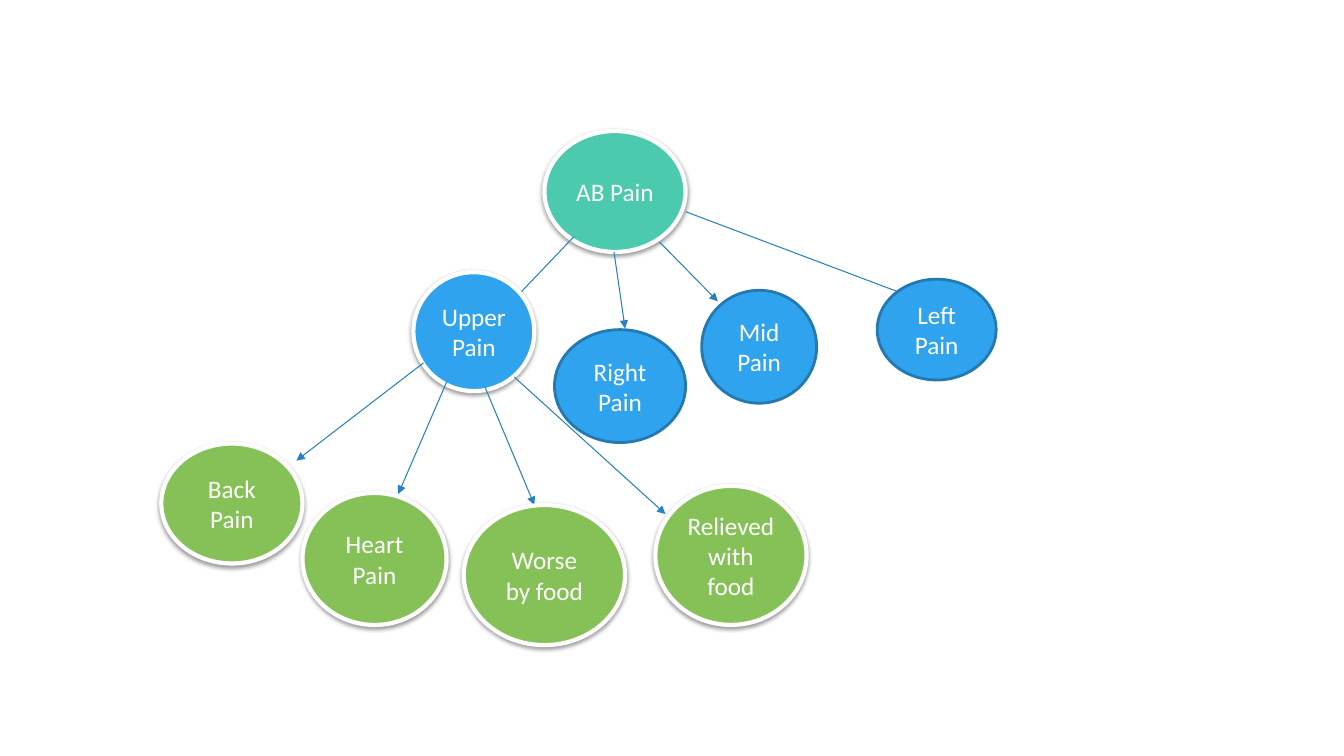
from dataclasses import dataclass

import pptx
import pptx.dml.color
import pptx.enum.shapes
import pptx.enum.text
import pptx.oxml
import pptx.oxml.ns
import pptx.util
from pptx.util import Inches


@dataclass(frozen=True)
class Theme:
    font: str = "Calibri"
    text_size: float = 18
    text: str = "FFFFFF"
    root: str = "4BCAAD"
    location: str = "2FA3EE"
    symptom: str = "86C157"
    raised_border: str = "FFFFFF"
    flat_border: str = "2379B0"
    arrow: str = "2582BE"
    raised_width: float = 3
    flat_width: float = 2
    arrow_width: float = 0.75


THEME = Theme()

ROOT = ("AB Pain", 5.4, 1.3, 1.4, 1.2)
UPPER = ("Upper Pain", 4.1, 2.7, 1.2, 1.18)
OTHER_LOCATIONS = [
    ("Right Pain", 5.5, 3.27, 1.3, 1.12),
    ("Mid\nPain", 6.96, 2.88, 1.14, 1.12),
    ("Left Pain", 8.7, 2.77, 1.18, 1),
]
SYMPTOMS = [
    ("Back Pain", 1.6, 4.4, 1.4, 1.19),
    ("Heart\nPain", 3, 4.89, 1.43, 1.31),
    ("Worse by food", 4.6, 5.01, 1.6, 1.39),
    ("Relieved with food", 6.5, 4.82, 1.5, 1.38),
]
ROOT_ARROWS = [
    (6.54, 2.4, 7.12, 2.99),
    (5.69, 2.35, 5.08, 2.99),
    (6.09, 2.5, 6.2, 3.26),
    (6.8, 2.1, 9, 2.93),
]
UPPER_ARROWS = [
    (4.2, 3.6, 2.94, 4.57),
    (4.43, 3.79, 3.95, 4.9),
    (4.81, 3.84, 5.3, 5.01),
    (5.1, 3.74, 6.6, 5.1),
]


def rgb(value):
    return pptx.dml.color.RGBColor.from_string(value)


def write_text(frame, text, *, size, color, font):
    frame.word_wrap = True
    frame.vertical_anchor = pptx.enum.text.MSO_ANCHOR.MIDDLE
    frame.text = text
    for paragraph in frame.paragraphs:
        paragraph.alignment = pptx.enum.text.PP_ALIGN.CENTER
        for run in paragraph.runs:
            run.font.size = pptx.util.Pt(size)
            run.font.name = font
            run.font.color.rgb = rgb(color)


def add_soft_shadow(bubble):
    effects = bubble._element.spPr.find(pptx.oxml.ns.qn("a:effectLst"))
    effects.append(pptx.oxml.parse_xml(
        f'<a:outerShdw {pptx.oxml.ns.nsdecls("a")} blurRad="{pptx.util.Pt(3.1)}" '
        f'dist="{pptx.util.Pt(1.6)}" dir="5400000" rotWithShape="0">'
        '<a:srgbClr val="000000"><a:alpha val="38000"/></a:srgbClr></a:outerShdw>'
    ))


def add_bubble(slide, node, fill, raised=True):
    label, *box = node
    bubble = slide.shapes.add_shape(
        pptx.enum.shapes.MSO_SHAPE.OVAL, *map(Inches, box))
    bubble.fill.solid()
    bubble.fill.fore_color.rgb = rgb(fill)
    bubble.line.color.rgb = rgb(THEME.raised_border if raised else THEME.flat_border)
    bubble.line.width = pptx.util.Pt(THEME.raised_width if raised else THEME.flat_width)
    bubble.shadow.inherit = False
    if raised:
        add_soft_shadow(bubble)
    write_text(bubble.text_frame, label, size=THEME.text_size,
               color=THEME.text, font=THEME.font)


def add_arrow(slide, ends):
    arrow = slide.shapes.add_connector(
        pptx.enum.shapes.MSO_CONNECTOR.STRAIGHT, *map(Inches, ends))
    arrow.line.color.rgb = rgb(THEME.arrow)
    arrow.line.width = pptx.util.Pt(THEME.arrow_width)
    namespace = pptx.oxml.ns.nsdecls("a")
    properties = arrow._element.spPr
    properties.find(pptx.oxml.ns.qn("a:ln")).append(
        pptx.oxml.parse_xml(f'<a:tailEnd {namespace} type="triangle"/>'))
    properties.append(pptx.oxml.parse_xml(f"<a:effectLst {namespace}/>"))


def main():
    deck = pptx.Presentation()
    deck.slide_width = Inches(13.33)
    deck.slide_height = Inches(7.5)
    slide = deck.slides.add_slide(deck.slide_layouts.get_by_name("Blank"))

    add_bubble(slide, ROOT, THEME.root)
    for ends in ROOT_ARROWS:
        add_arrow(slide, ends)
    add_bubble(slide, UPPER, THEME.location)
    for location in OTHER_LOCATIONS:
        add_bubble(slide, location, THEME.location, raised=False)
    for ends in UPPER_ARROWS:
        add_arrow(slide, ends)
    for symptom in SYMPTOMS:
        add_bubble(slide, symptom, THEME.symptom)

    deck.save("out.pptx")


if __name__ == "__main__":
    main()
